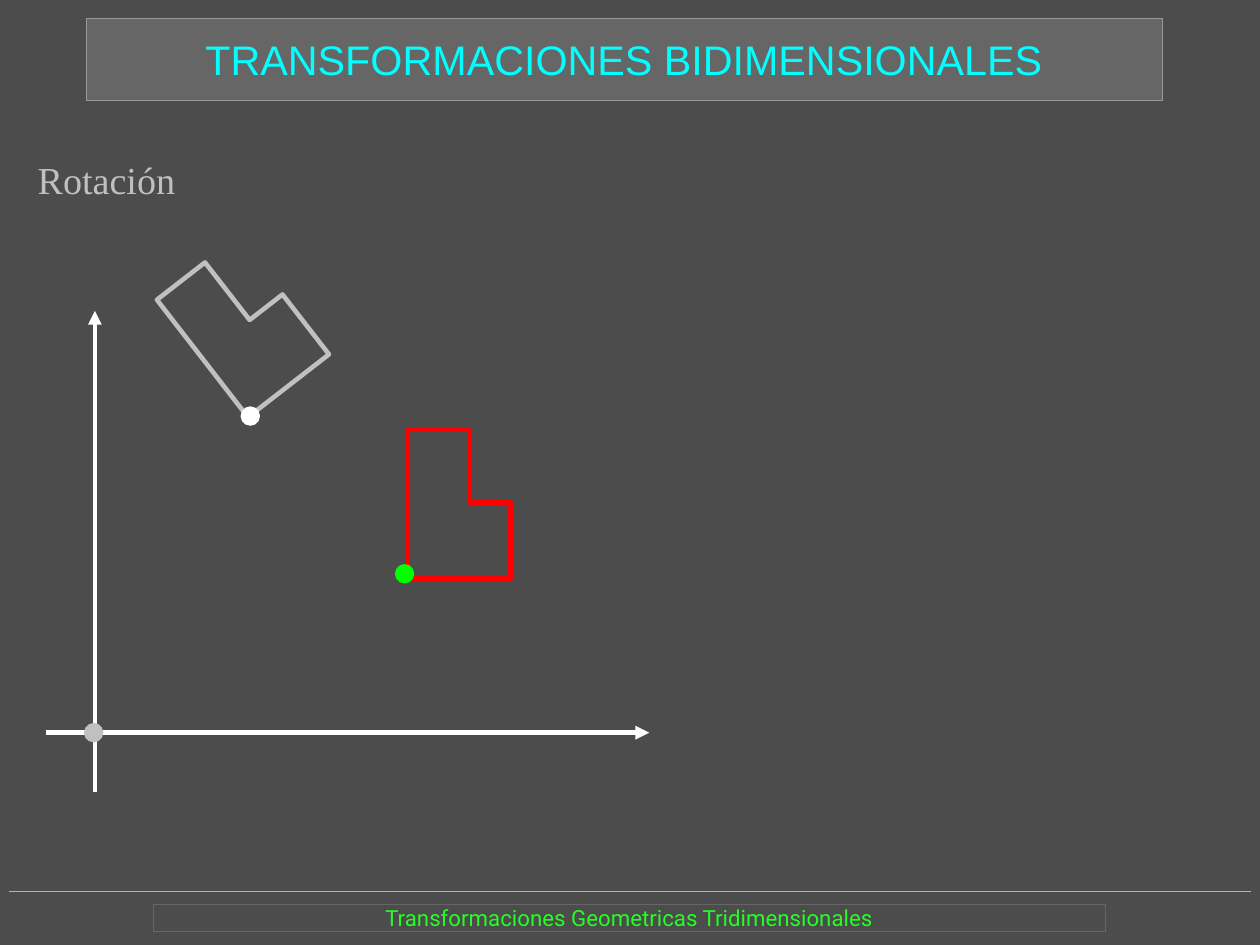
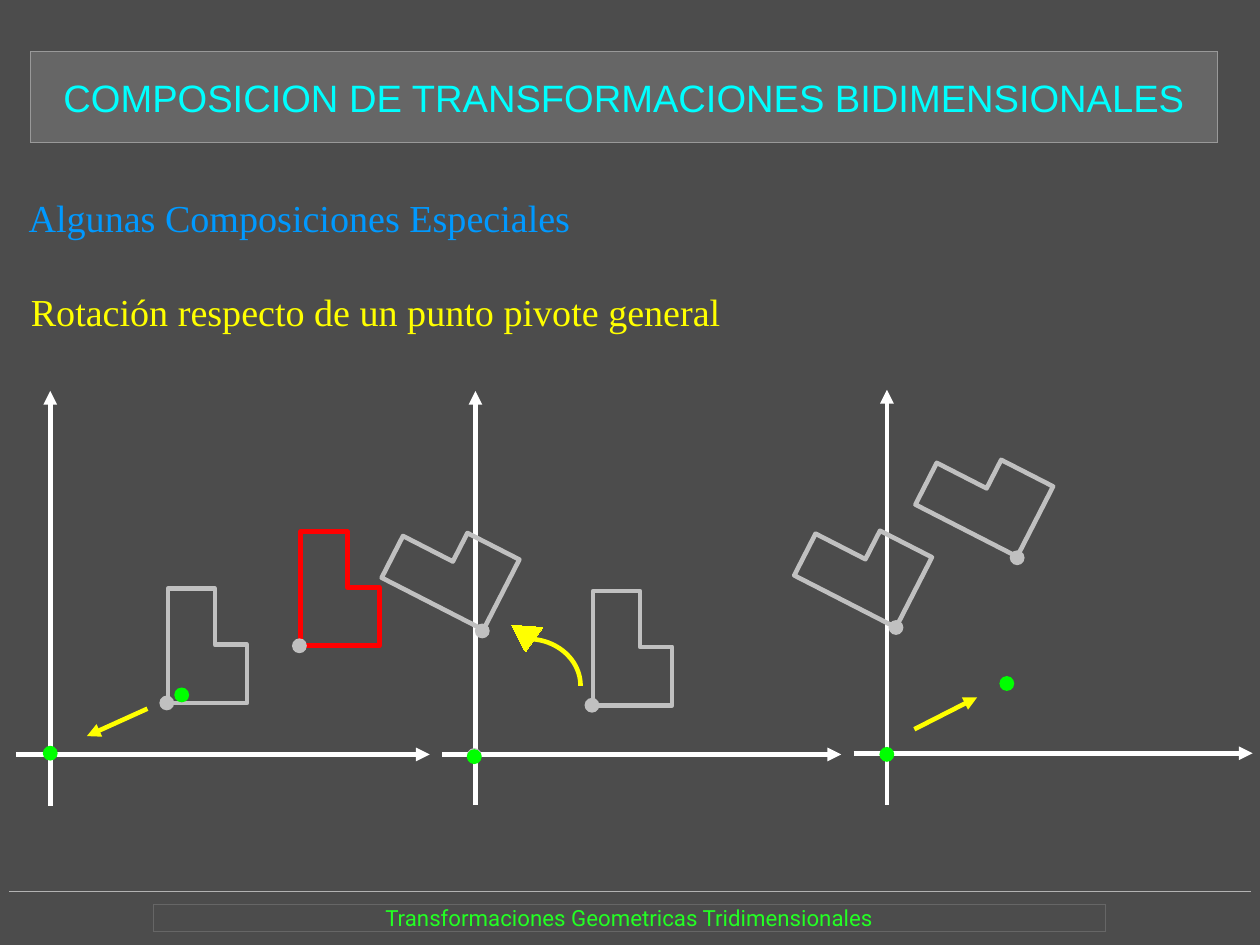
import math
import pptx
import pptx.util
import pptx.dml.color
import pptx.enum.shapes
import pptx.enum.text
import pptx.oxml.ns
import lxml.etree

Inches, Pt = pptx.util.Inches, pptx.util.Pt
SHAPE = pptx.enum.shapes.MSO_SHAPE
ALIGN = pptx.enum.text.PP_ALIGN
ANCHOR = pptx.enum.text.MSO_ANCHOR

COLORS = {
    "background": "4C4C4C", "band": "666666", "band_edge": "999999",
    "rule": "B3B3B3", "title": "00FFFF", "footer": "23FF23",
    "white": "FFFFFF", "grey": "C0C0C0", "red": "FF0000",
    "green": "00FF00", "yellow": "FFFF00", "blue": "0099FF",
}
FOOTER = "Transformaciones Geometricas Tridimensionales"
STROKE = 2.89
HAIRLINE = 0.01
FIGURE = [(0, 0), (0, -1), (0.41, -1), (0.41, -0.51), (0.69, -0.51), (0.69, 0)]

SLIDES = [
    {
        "title": ("TRANSFORMACIONES BIDIMENSIONALES", 26, (0.76, 0.16, 9.41, 0.72)),
        "headings": [("Rotación", "grey", (0.33, 1.37, 9.41, 0.4))],
        "arrows": [
            ((0.83, 6.93), (0.83, 2.72), "white"),
            ((0.4, 6.41), (5.68, 6.41), "white"),
        ],
        "scale": 1.3,
        "figures": [((3.57, 5.06), 0, "red"), ((2.17, 3.65), 37.8, "grey")],
        "dot": 0.17,
        "dots": [(3.54, 5.02, "green"), (0.82, 6.41, "grey"), (2.19, 3.64, "white")],
    },
    {
        "title": ("COMPOSICION DE TRANSFORMACIONES BIDIMENSIONALES", 24,
                  (0.27, 0.45, 10.38, 0.8)),
        "headings": [
            ("Algunas Composiciones Especiales", "blue", (0.25, 1.7, 9.41, 0.4)),
            ("Rotación respecto de un punto pivote general", "yellow",
             (0.27, 2.52, 6.27, 0.4)),
        ],
        "arrows": [
            ((0.44, 7.05), (0.44, 3.42), "white"),
            ((0.14, 6.6), (3.76, 6.6), "white"),
            ((4.16, 7.04), (4.16, 3.42), "white"),
            ((3.87, 6.6), (7.36, 6.6), "white"),
            ((7.76, 7.04), (7.76, 3.41), "white"),
            ((7.47, 6.59), (10.96, 6.59), "white"),
            ((1.29, 6.2), (0.76, 6.44), "yellow"),
            ((8, 6.38), (8.55, 6.1), "yellow"),
        ],
        "scale": 1,
        "figures": [
            ((2.63, 5.65), 0, "red"), ((5.19, 6.17), 0, "grey"),
            ((7.84, 5.49), 62.9, "grey"), ((1.47, 6.15), 0, "grey"),
            ((8.9, 4.87), 62.9, "grey"), ((4.23, 5.51), 62.9, "grey"),
        ],
        "dot": 0.13,
        "dots": [
            (2.62, 5.65, "grey"), (5.18, 6.17, "grey"), (4.15, 6.61, "grey"),
            (7.84, 5.49, "grey"), (1.46, 6.15, "grey"), (8.9, 4.88, "grey"),
            (4.22, 5.52, "grey"), (1.59, 6.08, "green"), (7.76, 6.6, "green"),
            (0.44, 6.59, "green"), (8.81, 5.98, "green"), (4.15, 6.62, "green"),
        ],
        "turn": {
            "box": (4.16, 5.59, 0.92, 0.82),
            "angles": (160.65, 0.04),
            "head": [(4.59, 5.69), (4.48, 5.47), (4.75, 5.49), (4.6, 5.7)],
        },
    },
]


def rgb(name):
    return pptx.dml.color.RGBColor.from_string(COLORS[name])


def paint(sp, fill=None, line=None, width=HAIRLINE):
    sp.shadow.inherit = False
    if fill:
        sp.fill.solid()
        sp.fill.fore_color.rgb = rgb(fill)
    else:
        sp.fill.background()
    if line:
        sp.line.color.rgb = rgb(line)
        sp.line.width = Pt(width)
    else:
        sp.line.fill.background()


def add_preset(s, preset, box, **style):
    sp = s.shapes.add_shape(preset, *map(Inches, box))
    paint(sp, **style)
    return sp


def add_outline(s, points, **style):
    start, *rest = [(Inches(x), Inches(y)) for x, y in points]
    fb = s.shapes.build_freeform(*start)
    fb.add_line_segments(rest, close=True)
    paint(fb.convert_to_shape(), **style)


def add_line(s, start, end, color, width=HAIRLINE, arrow=False):
    sp = s.shapes.add_connector(pptx.enum.shapes.MSO_CONNECTOR.STRAIGHT,
                                *map(Inches, start + end))
    sp.line.color.rgb = rgb(color)
    sp.line.width = Pt(width)
    qn = pptx.oxml.ns.qn
    if arrow:
        ln = sp._element.spPr.find(qn("a:ln"))
        lxml.etree.SubElement(ln, qn("a:tailEnd"), type="triangle")
    lxml.etree.SubElement(sp._element.spPr, qn("a:effectLst"))


def write(sp, text, font, size, color, align=ALIGN.LEFT, anchor=ANCHOR.TOP):
    tf = sp.text_frame
    tf.word_wrap = True
    tf.margin_left = tf.margin_right = tf.margin_top = tf.margin_bottom = 0
    tf.vertical_anchor = anchor
    p = tf.paragraphs[0]
    p.alignment = align
    r = p.add_run()
    r.text = text
    r.font.name = font
    r.font.size = Pt(size)
    r.font.color.rgb = rgb(color)


def place_figure(pivot, degrees, scale):
    c, n = math.cos(math.radians(degrees)), math.sin(math.radians(degrees))
    return [(pivot[0] + scale * (x * c + y * n), pivot[1] + scale * (y * c - x * n))
            for x, y in FIGURE]


def add_frame(prs, title, size, box):
    s = prs.slides.add_slide(prs.slide_layouts[6])
    s.background.fill.solid()
    s.background.fill.fore_color.rgb = rgb("background")
    add_line(s, (0.08, 7.8), (10.94, 7.8), "rule")
    footer = add_preset(s, SHAPE.RECTANGLE, (1.34, 7.91, 8.33, 0.24), line="band")
    write(footer, FOOTER, "Roboto", 14, "footer", ALIGN.CENTER, ANCHOR.MIDDLE)
    band = add_preset(s, SHAPE.RECTANGLE, box, fill="band", line="band_edge")
    write(band, title, "Arial", size, "title", ALIGN.CENTER, ANCHOR.MIDDLE)
    return s


def add_turn(s, turn):
    arc = add_preset(s, SHAPE.ARC, turn["box"], line="yellow", width=STROKE)
    for i, angle in enumerate(turn["angles"]):
        arc.adjustments[i] = angle
    add_outline(s, turn["head"], fill="yellow", line="yellow")


def build_slide(prs, content):
    s = add_frame(prs, *content["title"])
    for text, color, box in content["headings"]:
        write(s.shapes.add_textbox(*map(Inches, box)), text, "Times New Roman", 24, color)
    for start, end, color in content["arrows"]:
        add_line(s, start, end, color, STROKE, arrow=True)
    for pivot, degrees, color in content["figures"]:
        add_outline(s, place_figure(pivot, degrees, content["scale"]),
                    line=color, width=STROKE)
    d = content["dot"]
    for x, y, color in content["dots"]:
        add_preset(s, SHAPE.OVAL, (x - d / 2, y - d / 2, d, d), fill=color)
    if "turn" in content:
        add_turn(s, content["turn"])


def main():
    prs = pptx.Presentation()
    prs.slide_width, prs.slide_height = Pt(793.75), Pt(595.25)
    for content in SLIDES:
        build_slide(prs, content)
    prs.save("out.pptx")


if __name__ == "__main__":
    main()
